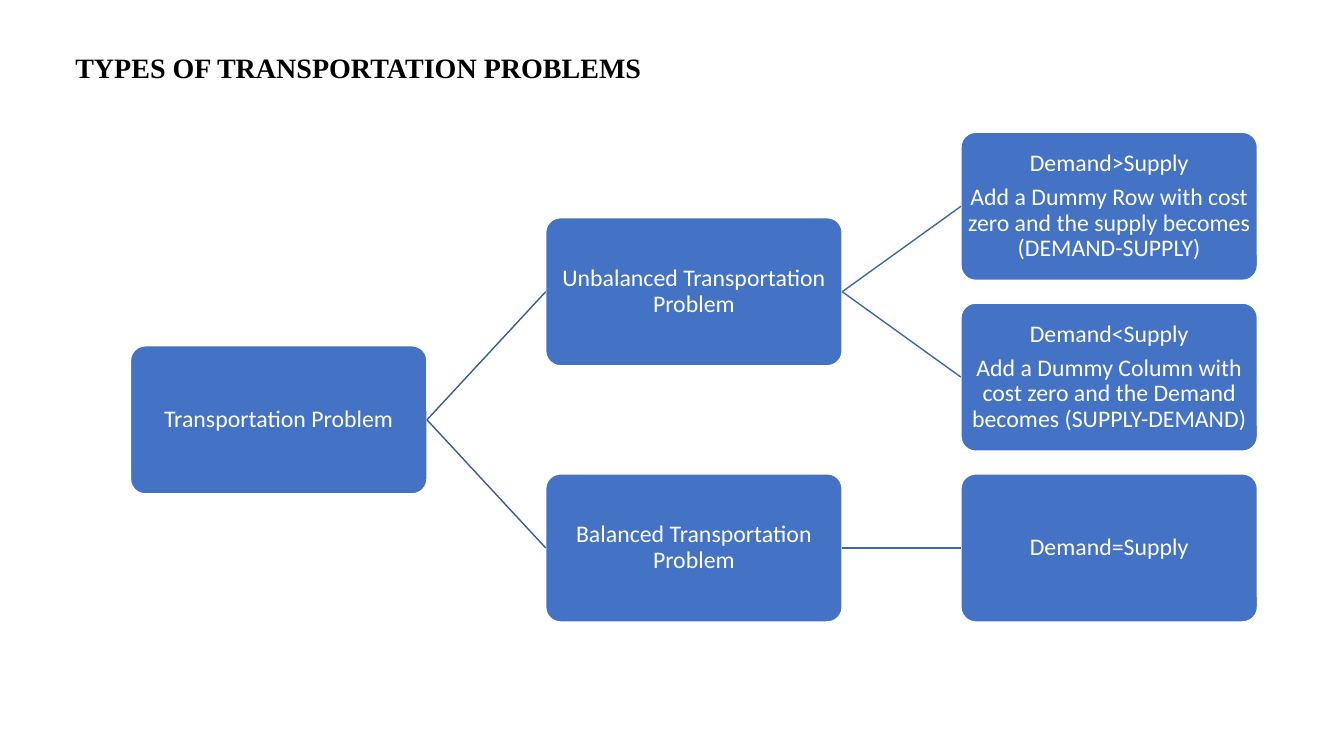
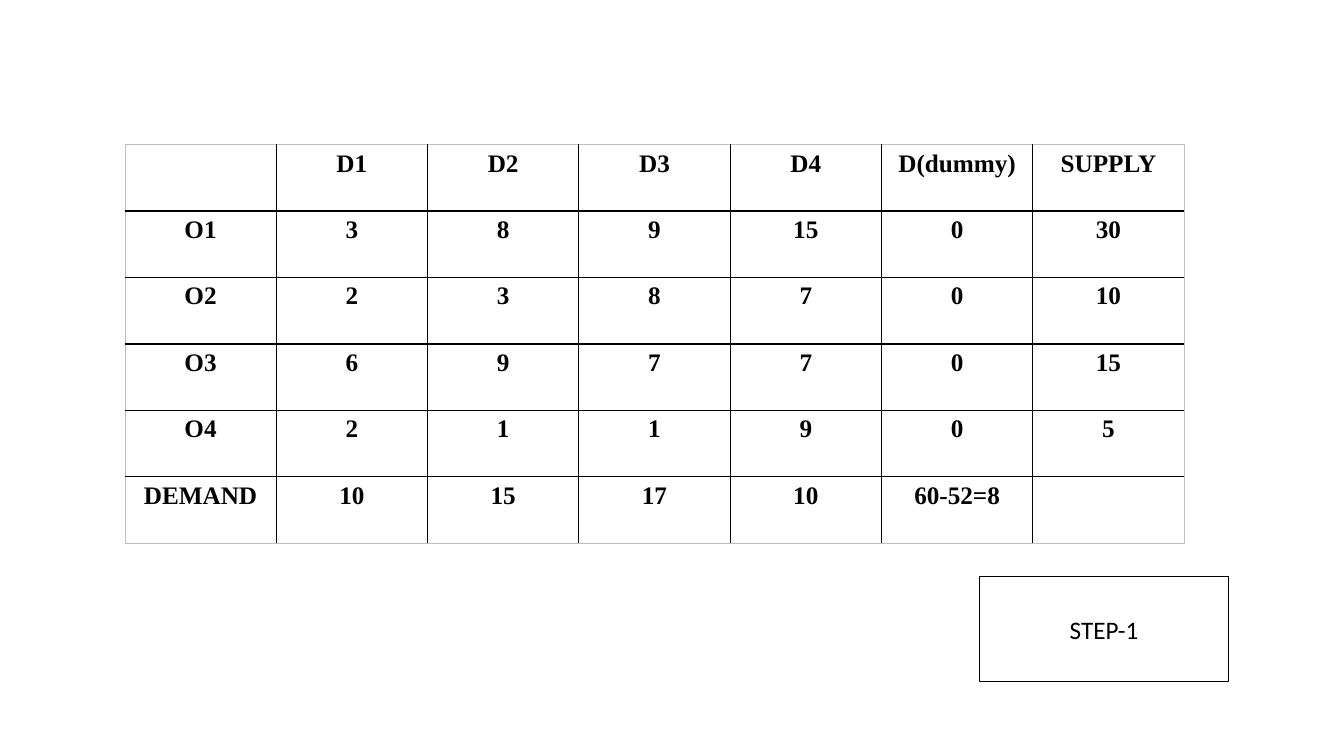
from pptx import Presentation
from pptx.dml.color import RGBColor
from pptx.enum.shapes import MSO_CONNECTOR, MSO_SHAPE
from pptx.enum.text import MSO_ANCHOR, PP_ALIGN
from pptx.oxml.ns import qn
from pptx.util import Pt
from lxml.etree import SubElement

COLORS = {"box": "4472C4", "white": "FFFFFF", "black": "000000",
          "link1": "365B9D", "link2": "3E67B2", "edge": "BFBFBF"}
SERIF, SANS = "Times New Roman", "Calibri"


def rgb(name):
    return RGBColor.from_string(COLORS[name])


def write(tf, text, size=18, font=SERIF, color="black", bold=False,
          spacing=None, gap=0):
    """Fill a text frame with centred lines, one paragraph each."""
    tf.word_wrap = True
    for i, line in enumerate(text.split("\n")):
        p = tf.paragraphs[0] if i == 0 else tf.add_paragraph()
        p.alignment = PP_ALIGN.CENTER
        if spacing:
            p.line_spacing = spacing
        if i:
            p.space_before = Pt(gap)
        r = p.add_run()
        r.text = line
        r.font.size, r.font.name, r.font.bold = Pt(size), font, bold
        r.font.color.rgb = rgb(color)


prs = Presentation()
prs.slide_width, prs.slide_height = Pt(960), Pt(540)
blank = prs.slide_layouts[6]

# Slide 1: title
s = prs.slides.add_slide(blank)
sp = s.shapes.add_textbox(Pt(16), Pt(32.4), Pt(480), Pt(31.5))
write(sp.text_frame, "TYPES OF TRANSPORTATION PROBLEMS", size=20, bold=True)

# Tree: each parent is centred on its children
BOX_W, BOX_H = 211.8, 105.8
LEFT, COL_STEP = 93.2, 296.6
TOP, ROW_STEP = 94.5, 122
tree = [  # column, row, text, index of parent
    (0, 1.25, "Transportation Problem", None),
    (1, 0.5, "Unbalanced Transportation Problem", 0),
    (2, 0, "Demand>Supply\nAdd a Dummy Row with cost zero and the supply "
           "becomes (DEMAND-SUPPLY)", 1),
    (2, 1, "Demand<Supply\nAdd a Dummy Column with cost zero and the Demand "
           "becomes (SUPPLY-DEMAND)", 1),
    (1, 2, "Balanced Transportation Problem", 0),
    (2, 2, "Demand=Supply", 4),
]
boxes = []
for col, row, text, parent in tree:
    sp = s.shapes.add_shape(
        MSO_SHAPE.ROUNDED_RECTANGLE, Pt(LEFT + col * COL_STEP),
        Pt(TOP + row * ROW_STEP), Pt(BOX_W), Pt(BOX_H))
    sp.adjustments[0] = 0.1
    sp.shadow.inherit = False
    sp.fill.solid()
    sp.fill.fore_color.rgb = rgb("box")
    sp.line.color.rgb = rgb("white")
    sp.line.width = Pt(1)
    tf = sp.text_frame
    tf.margin_left = tf.margin_right = tf.margin_top = tf.margin_bottom = Pt(0.7)
    tf.vertical_anchor = MSO_ANCHOR.MIDDLE
    write(tf, text, size=17, font=SANS, color="white", spacing=0.9, gap=6)
    boxes.append(sp)
    if parent is not None:
        link = s.shapes.add_connector(MSO_CONNECTOR.STRAIGHT, 0, 0, 0, 0)
        link.begin_connect(boxes[parent], 3)
        link.end_connect(sp, 1)
        link.line.color.rgb = rgb(f"link{col}")
        link.line.width = Pt(1)
        SubElement(link._element.spPr, qn("a:effectLst"))

# Slide 2: cost table
s = prs.slides.add_slide(blank)
rows = [
    ["", "D1", "D2", "D3", "D4", "D(dummy)", "SUPPLY"],
    ["O1", "3", "8", "9", "15", "0", "30"],
    ["O2", "2", "3", "8", "7", "0", "10"],
    ["O3", "6", "9", "7", "7", "0", "15"],
    ["O4", "2", "1", "1", "9", "0", "5"],
    ["DEMAND", "10", "15", "17", "10", "60-52=8", ""],
]
n_rows, n_cols = len(rows), len(rows[0])
COL_W, ROW_H = 108.1, 47.5
table = s.shapes.add_table(n_rows, n_cols, Pt(89.2), Pt(103.2),
                           Pt(n_cols * COL_W), Pt(n_rows * ROW_H)).table
table.first_row = table.horz_banding = False
for column in table.columns:
    column.width = Pt(COL_W)
for i, values in enumerate(rows):
    table.rows[i].height = Pt(ROW_H)
    for j, value in enumerate(values):
        cell = table.cell(i, j)
        # Thin grey frame outside, black lines inside
        tcPr = cell._tc.get_or_add_tcPr()
        outer = {"L": j == 0, "R": j == n_cols - 1,
                 "T": i == 0, "B": i == n_rows - 1}
        for side, is_outer in outer.items():
            ln = SubElement(tcPr, qn(f"a:ln{side}"),
                            w=str(Pt(0.5 if is_outer else 1)))
            fill = SubElement(ln, qn("a:solidFill"))
            SubElement(fill, qn("a:srgbClr"),
                       val=COLORS["edge" if is_outer else "black"])
        cell.fill.background()
        cell.margin_left = cell.margin_right = Pt(7.7)
        if value:
            write(cell.text_frame, value, bold=True)

# Step label
sp = s.shapes.add_shape(MSO_SHAPE.RECTANGLE, Pt(700), Pt(412), Pt(177.3), Pt(75))
sp.shadow.inherit = False
sp.fill.background()
sp.line.color.rgb = rgb("black")
sp.line.width = Pt(0.75)
sp.text_frame.vertical_anchor = MSO_ANCHOR.MIDDLE
write(sp.text_frame, "STEP-1", font=SANS)

prs.save("out.pptx")
